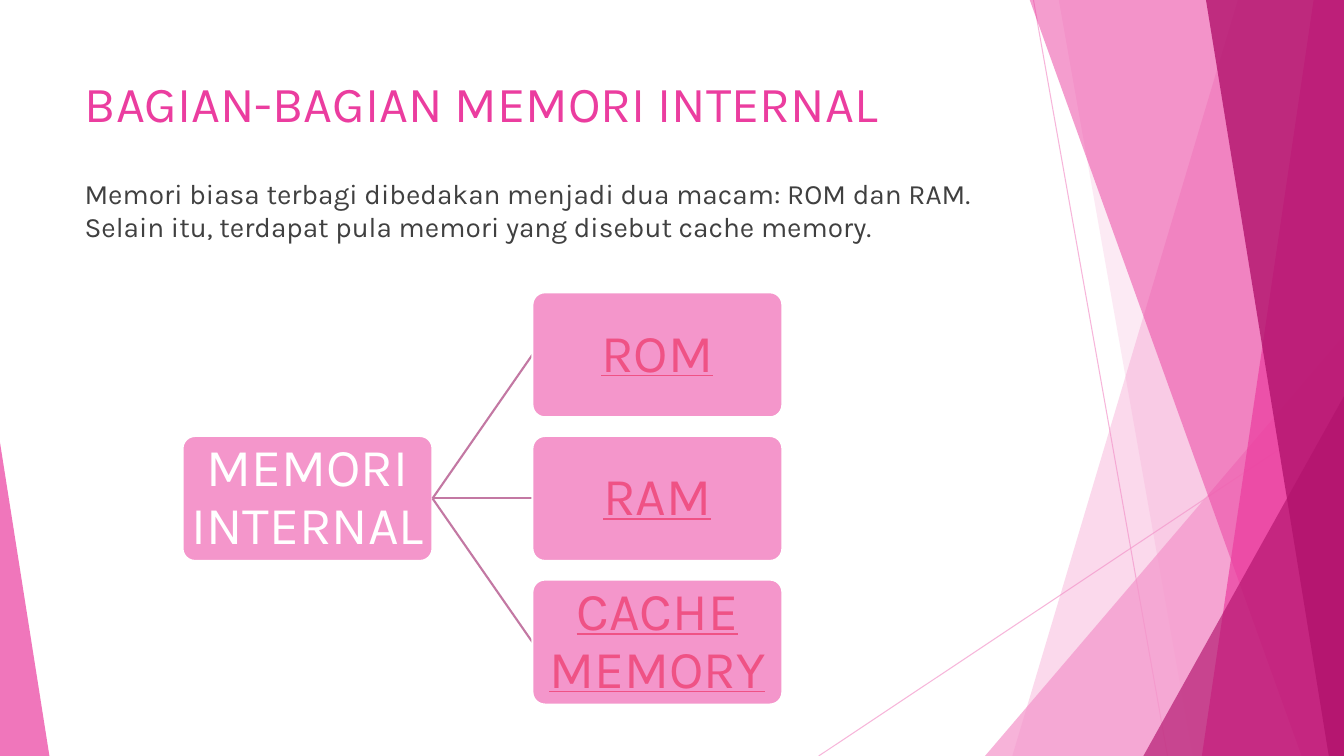
"""Build the slide on the parts of internal memory."""
import pptx
import pptx.dml.color
import pptx.enum.shapes
import pptx.enum.text
import pptx.oxml
import pptx.oxml.ns
import pptx.util
from dataclasses import dataclass

Inches = pptx.util.Inches
Shape = pptx.enum.shapes.MSO_SHAPE
Align = pptx.enum.text.PP_ALIGN
Anchor = pptx.enum.text.MSO_ANCHOR


@dataclass(frozen=True)
class Theme:
    font: str = "Karla"
    white: str = "FFFFFF"
    pink: str = "F496CB"
    magenta: str = "EB3D9F"
    plum: str = "B2136D"
    ink: str = "404040"
    link: str = "EF5285"
    branch: str = "C378A3"
    title_size: int = 36
    body_size: int = 20
    node_size: int = 38


THEME = Theme()
WIDTH, HEIGHT = 13.33, 7.5

TITLE = "BAGIAN-BAGIAN MEMORI INTERNAL"
INTRO = ("Memori biasa terbagi dibedakan menjadi dua macam: ROM dan RAM. "
         "Selain itu, terdapat pula memori yang disebut cache memory.")
ROOT = "MEMORI INTERNAL"
PARTS = ["ROM", "RAM", "CACHE MEMORY"]

RAYS = [((10.25, 0), (11.58, HEIGHT)), ((WIDTH, 4.03), (8.12, HEIGHT))]
BANDS = "band"
WEDGES = "wedge"
FACETS = [
    (BANDS, (12.28, 10.04), THEME.pink, 36),
    (BANDS, (10.5, 11.83), THEME.pink, 20),
    (WEDGES, (9.77, 3.33, 3.56, 1), THEME.pink, 72),
    (BANDS, (10.21, 12.91), THEME.magenta, 50),
    (BANDS, (13.03, 11.92), THEME.magenta, 70),
    (BANDS, (11.96, 13.18), THEME.plum, 80),
    (WEDGES, (11.34, 3.93, 1.99, 1), THEME.plum, 66),
    (WEDGES, (0, 4.39, 0.49, 0), THEME.magenta, 70),
]

NODE_W, NODE_H = 2.48, 1.24
ROOT_LEFT, PART_LEFT = 1.81, 5.28
PART_TOP, PART_STEP = 2.9, 1.425


def rgb(code):
    return pptx.dml.color.RGBColor.from_string(code)


def fade(shape, percent):
    for color in shape._element.spPr.iter(pptx.oxml.ns.qn("a:srgbClr")):
        alpha = color.makeelement(pptx.oxml.ns.qn("a:alpha"), {"val": str(percent * 1000)})
        color.append(alpha)


def write(frame, text, size, color, align=Align.LEFT, anchor=Anchor.TOP,
          inset=(0.1, 0.05), spacing=None, before=0, underline=False):
    frame.word_wrap = True
    frame.auto_size = pptx.enum.text.MSO_AUTO_SIZE.NONE
    frame.vertical_anchor = anchor
    frame.margin_left = frame.margin_right = Inches(inset[0])
    frame.margin_top = frame.margin_bottom = Inches(inset[1])
    paragraph = frame.paragraphs[0]
    paragraph.alignment = align
    paragraph.line_spacing = spacing
    paragraph.space_before = pptx.util.Pt(before)
    run = paragraph.add_run()
    run.text = text
    run.font.name = THEME.font
    run.font.size = pptx.util.Pt(size)
    run.font.color.rgb = rgb(color)
    run.font.underline = underline


def add_line(shapes, start, end, color, width):
    line = shapes.add_connector(pptx.enum.shapes.MSO_CONNECTOR.STRAIGHT,
                                *map(Inches, (*start, *end)))
    line.line.color.rgb = rgb(color)
    line.line.width = pptx.util.Pt(width)
    line._element.spPr.append(pptx.oxml.parse_xml(
        f"<a:effectLst {pptx.oxml.ns.nsdecls('a')}/>"))
    return line


def add_facet(shapes, kind, geometry, color, opacity):
    if kind == BANDS:
        top_x, bottom_x = geometry
        outline = shapes.build_freeform(Inches(top_x), Inches(-0.01))
        corners = [(WIDTH, -0.01), (WIDTH, HEIGHT), (bottom_x, HEIGHT)]
        outline.add_line_segments([(Inches(x), Inches(y)) for x, y in corners], close=True)
        facet = outline.convert_to_shape()
    else:
        left, top, width, apex = geometry
        facet = shapes.add_shape(Shape.ISOSCELES_TRIANGLE,
                                 *map(Inches, (left, top, width, HEIGHT - top)))
        facet.adjustments[0] = apex
    facet.shadow.inherit = False
    facet.fill.solid()
    facet.fill.fore_color.rgb = rgb(color)
    facet.line.fill.background()
    fade(facet, opacity)


def add_node(shapes, text, left, top, color, underline=False):
    node = shapes.add_shape(Shape.ROUNDED_RECTANGLE,
                            *map(Inches, (left, top, NODE_W, NODE_H)))
    node.adjustments[0] = 0.1
    node.shadow.inherit = False
    node.fill.solid()
    node.fill.fore_color.rgb = rgb(THEME.pink)
    node.line.color.rgb = rgb(THEME.white)
    node.line.width = pptx.util.Pt(1.5)
    write(node.text_frame, text, THEME.node_size, color, align=Align.CENTER,
          anchor=Anchor.MIDDLE, inset=(0.03, 0.03), spacing=0.9, underline=underline)


def build():
    deck = pptx.Presentation()
    deck.slide_width, deck.slide_height = Inches(WIDTH), Inches(HEIGHT)
    slide = deck.slides.add_slide(deck.slide_layouts[5])
    shapes = slide.shapes

    for start, end in RAYS:
        fade(add_line(shapes, start, end, THEME.pink, 0.75), 70)
    for facet in FACETS:
        add_facet(shapes, *facet)

    title = shapes.title
    title.left, title.top, title.width, title.height = map(Inches, (0.74, 0.67, 9.4, 1.44))
    write(title.text_frame, TITLE, THEME.title_size, THEME.magenta)
    intro = shapes.add_textbox(*map(Inches, (0.74, 1.7, 9.4, 0.86)))
    write(intro.text_frame, INTRO, THEME.body_size, THEME.ink, before=10)

    root_top = PART_TOP + PART_STEP * (len(PARTS) - 1) / 2
    add_node(shapes, ROOT, ROOT_LEFT, root_top, THEME.white)
    fork = (ROOT_LEFT + NODE_W, root_top + NODE_H / 2)
    for row, part in enumerate(PARTS):
        top = PART_TOP + row * PART_STEP
        add_line(shapes, fork, (PART_LEFT, top + NODE_H / 2), THEME.branch, 1.5)
        add_node(shapes, part, PART_LEFT, top, THEME.link, underline=True)

    deck.save("out.pptx")


build()
